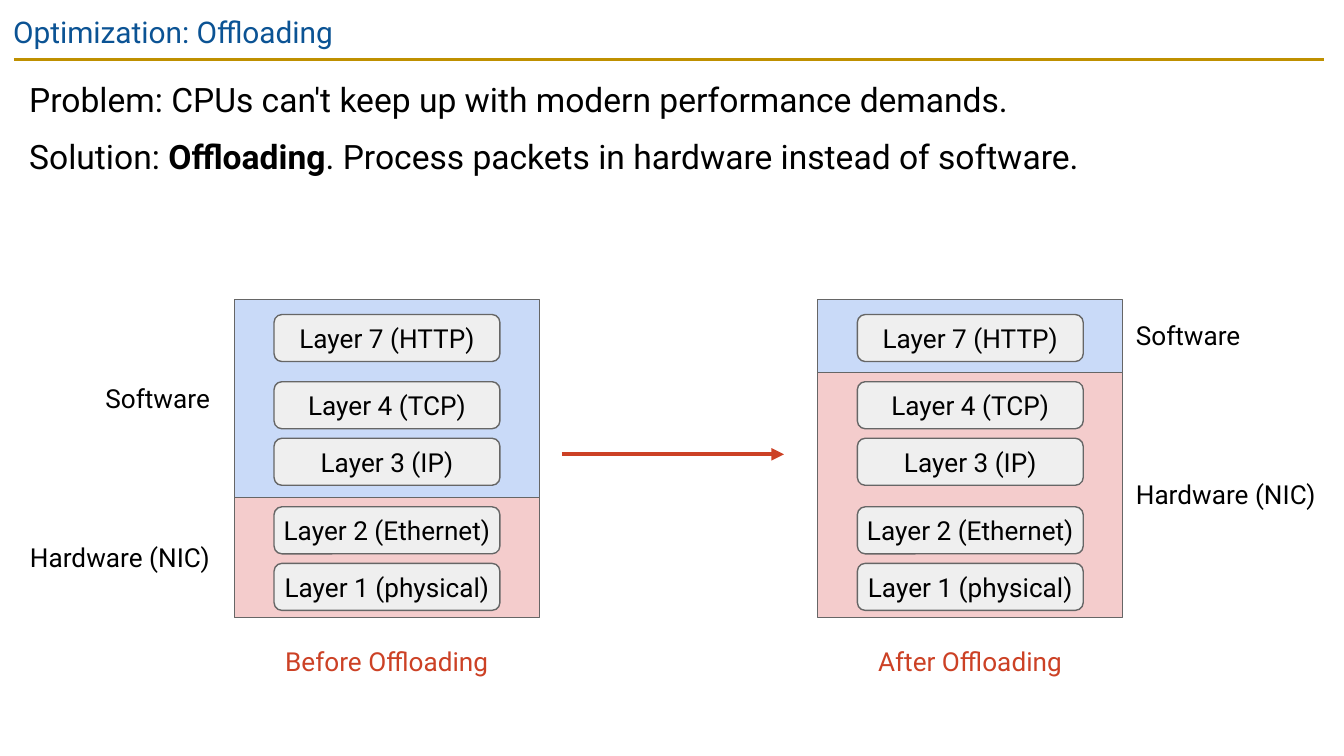
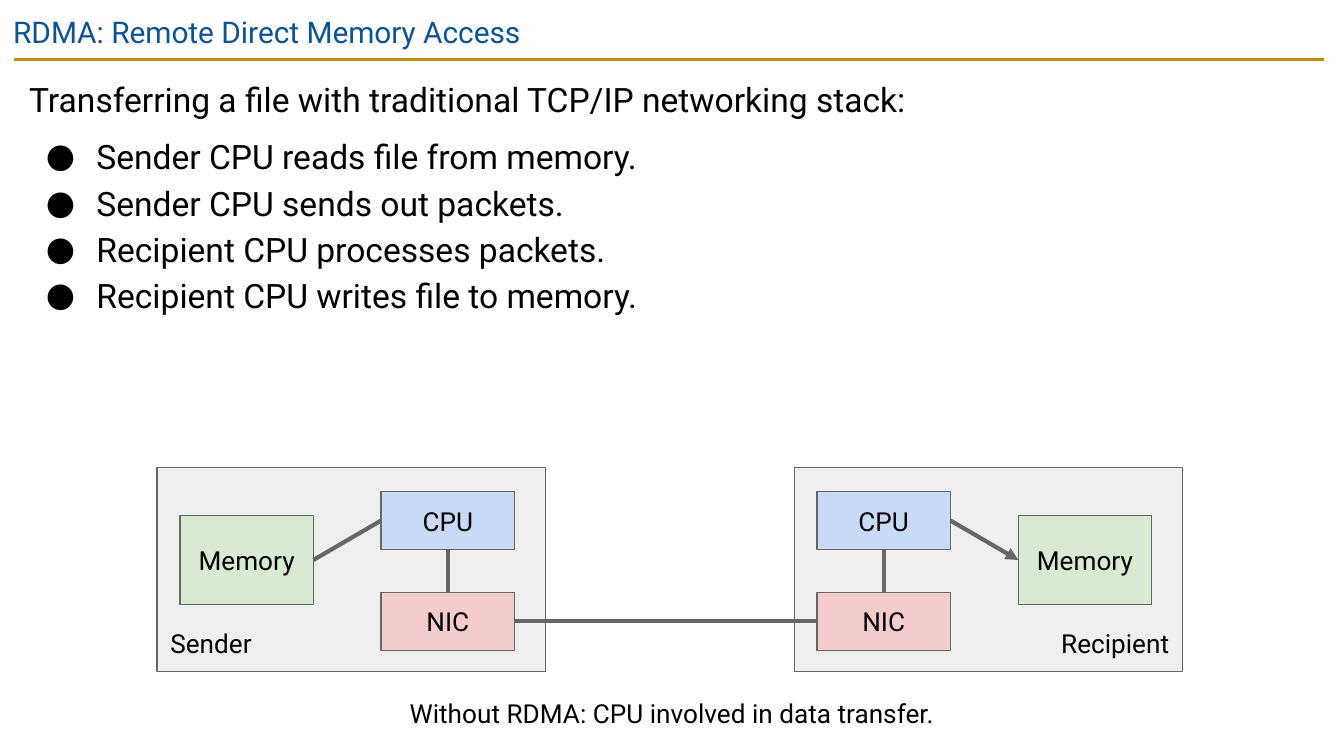
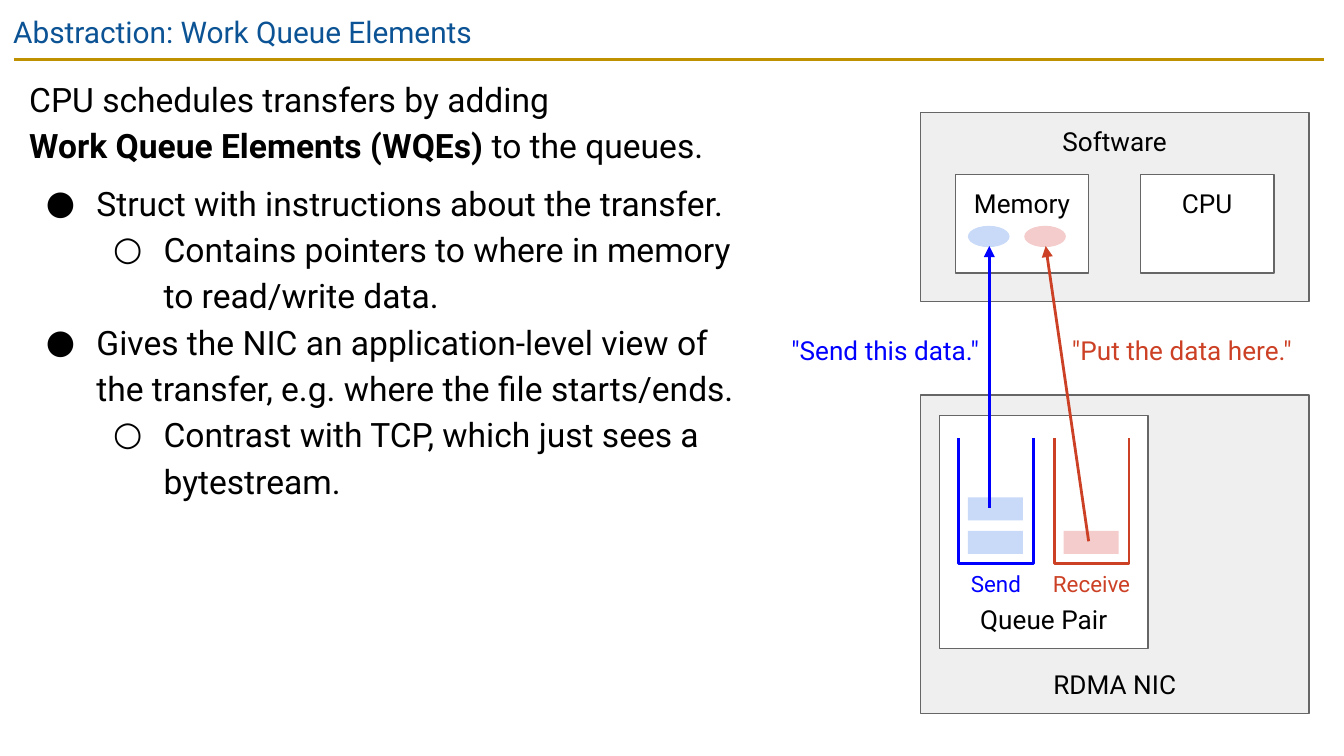
from lxml.etree import SubElement
from pptx import Presentation
from pptx.dml.color import RGBColor
from pptx.enum.shapes import MSO_CONNECTOR, MSO_SHAPE
from pptx.enum.text import MSO_ANCHOR, PP_ALIGN
from pptx.oxml.ns import qn
from pptx.util import Pt

FONT = "Roboto"
BLACK, WHITE, GRAY, EDGE = "000000", "FFFFFF", "EFEFEF", "666666"
BLUE, PINK, GREEN = "C9DAF8", "F4CCCC", "D9EAD3"
NAVY, GOLD, RED, VIVID = "0B5394", "BF9000", "CC4125", "0000FF"
LEFT, MID, RIGHT = PP_ALIGN.LEFT, PP_ALIGN.CENTER, PP_ALIGN.RIGHT
TOP, CORE, BASE = MSO_ANCHOR.TOP, MSO_ANCHOR.MIDDLE, MSO_ANCHOR.BOTTOM
RECT, ROUND, OVAL = MSO_SHAPE.RECTANGLE, MSO_SHAPE.ROUNDED_RECTANGLE, MSO_SHAPE.OVAL

OFFLOAD = [
    (0, "Problem: CPUs can't keep up with modern performance demands."),
    (0, "Solution: **Offloading**. Process packets in hardware instead of software."),
]
LAYERS = [
    ("Layer 7 (HTTP)", 168.5),
    ("Layer 4 (TCP)", 204.5),
    ("Layer 3 (IP)", 234.8),
    ("Layer 2 (Ethernet)", 271.5),
    ("Layer 1 (physical)", 301.8),
]
STACKS = [
    ("Before Offloading", 125.5, 266.5, RIGHT),
    ("After Offloading", 438, 199.5, LEFT),
]
BANDS = [("Software", BLUE, 65.5), ("Hardware (NIC)", PINK, 102)]

RDMA = [
    (0, "Transferring a file with traditional TCP/IP networking stack:"),
    (1, "Sender CPU reads file from memory."),
    (1, "Sender CPU sends out packets."),
    (1, "Recipient CPU processes packets."),
    (1, "Recipient CPU writes file to memory."),
]
NEAR, FAR = 12.2, 120
HOSTS = [("Sender", 84.2, NEAR, FAR, LEFT), ("Recipient", 425.5, FAR, NEAR, RIGHT)]

QUEUES = [
    (0, "CPU schedules transfers by adding\v**Work Queue Elements (WQEs)** to the queues."),
    (1, "Struct with instructions about the transfer."),
    (2, "Contains pointers to where in memory to read/write data."),
    (1, "Gives the NIC an application-level view of the transfer, "
        "e.g. where the file starts/ends."),
    (2, "Contrast with TCP, which just sees a bytestream."),
]
BLOCKS = [
    ("RDMA NIC", (493.2, 211.7, 208, 170.6), GRAY, BASE),
    ("Software", (493.2, 60.2, 208, 101.5), GRAY, TOP),
    ("CPU", (611, 93.4, 71.5, 53), WHITE, TOP),
    ("Memory", (511.8, 93.4, 71.5, 53), WHITE, TOP),
    ("Queue Pair", (503.3, 222.5, 111.7, 125), WHITE, BASE),
]
CUPS = [
    ("Send", 513.5, 40, 2, VIVID, BLUE, 518.5, (530, 272),
     '"Send this data."', (418.5, 111.5)),
    ("Receive", 564.8, 54, 1, RED, PINK, 548.7, (583.2, 290),
     '"Put the data here."', (569.5, 127.5)),
]


def rgb(code):
    return RGBColor.from_string(code)


def style(par, size, color, align=LEFT):
    par.alignment = align
    for run in par.runs:
        run.font.name = FONT
        run.font.size = Pt(size)
        run.font.color.rgb = rgb(color)


def frame(shape, inset, anchor):
    text = shape.text_frame
    text.word_wrap = True
    text.vertical_anchor = anchor
    text.margin_left = text.margin_right = Pt(inset)
    text.margin_top = text.margin_bottom = Pt(inset)
    return text


def label(slide, words, at, color=BLACK, size=14, align=MID, inset=2):
    text = frame(slide.shapes.add_textbox(*map(Pt, at)), inset, TOP)
    text.text = words
    style(text.paragraphs[0], size, color, align)


def box(slide, at, fill, words="", kind=RECT, edge=EDGE,
        align=MID, anchor=CORE, inset=7.2):
    shape = slide.shapes.add_shape(kind, *map(Pt, at))
    shape.shadow.inherit = False
    shape.fill.solid()
    shape.fill.fore_color.rgb = rgb(fill)
    if edge:
        shape.line.color.rgb = rgb(edge)
        shape.line.width = Pt(0.75)
    else:
        shape.line.fill.background()
    if words:
        text = frame(shape, inset, anchor)
        text.text = words
        style(text.paragraphs[0], 14, BLACK, align)
    return shape


def line(slide, start, end, color, width, arrow=False):
    wire = slide.shapes.add_connector(MSO_CONNECTOR.STRAIGHT, *map(Pt, start + end))
    wire.line.color.rgb = rgb(color)
    wire.line.width = Pt(width)
    if arrow:
        SubElement(wire.get_or_add_ln(), qn("a:tailEnd"), type="triangle")
    SubElement(wire._element.spPr, qn("a:effectLst"))
    return wire


def join(slide, first, side, last, goal, arrow=False):
    wire = line(slide, (0, 0), (0, 0), EDGE, 2.25, arrow)
    wire.begin_connect(first, side)
    wire.end_connect(last, goal)


def bullet(par, level):
    props = par._p.get_or_add_pPr()
    props.set("marL", str(Pt(36 * level)))
    props.set("indent", str(Pt(-27)))
    tint = SubElement(props, qn("a:buClr"))
    SubElement(tint, qn("a:srgbClr"), val=BLACK)
    SubElement(props, qn("a:buFont"), typeface=FONT)
    SubElement(props, qn("a:buChar"), char="●○"[level - 1])


def body(slide, items, width, height):
    text = frame(slide.shapes.add_textbox(Pt(8.6), Pt(31.7), Pt(width), Pt(height)), 7.2, TOP)
    last = 0
    for spot, (level, words) in enumerate(items):
        par = text.add_paragraph() if spot else text.paragraphs[0]
        head, *rest = words.split("**")
        par.text = head
        for turn, part in enumerate(rest):
            run = par.add_run()
            run.text = part
            run.font.bold = turn % 2 == 0
        style(par, 18, BLACK)
        par.level = max(level - 1, 0)
        par.line_spacing = 1.15
        par.space_before = Pt(0 if last else 6)
        if level:
            bullet(par, level)
        last = level


def page(deck, title):
    slide = deck.slides.add_slide(deck.slide_layouts[6])
    line(slide, (7.5, 31.8), (709.3, 31.8), GOLD, 1.5)
    label(slide, title, (0, 0, 720, 31), NAVY, 16, LEFT, 7.2)
    return slide


def stack(slide, name, left, split, align):
    edges = (160.5, split, 331)
    for (words, fill, wide), top, low in zip(BANDS, edges, edges[1:]):
        box(slide, (left, top, 163.5, low - top), fill)
        side = left - 11 - wide if align == RIGHT else left + 168.5
        label(slide, words, (side, (top + low) / 2 - 10.8, wide, 21.6), align=align)
    for words, top in LAYERS:
        box(slide, (left + 21.3, top, 121, 25.2), GRAY, words, ROUND, inset=2)
    label(slide, name, (left + 25.2, 343.5, 113, 21.6), RED)


def host(slide, name, left, store, chips, align):
    box(slide, (left, 250.5, 208, 109.4), GRAY, name, align=align, anchor=BASE)
    cpu = box(slide, (left + chips, 263.4, 71.5, 31), BLUE, "CPU")
    nic = box(slide, (left + chips, 317.4, 71.5, 31), PINK, "NIC")
    memory = box(slide, (left + store, 276, 71.5, 48), GREEN, "Memory")
    join(slide, cpu, 2, nic, 0)
    return memory, cpu, nic


def cup(slide, name, left, wide, count, color, fill, data, start, quote, span):
    path = slide.shapes.build_freeform(Pt(left), Pt(234.7))
    path.add_line_segments([(Pt(left), Pt(301.7)), (Pt(left + 40), Pt(301.7)),
                            (Pt(left + 40), Pt(234.7))], close=False)
    shape = path.convert_to_shape()
    shape.shadow.inherit = False
    shape.fill.background()
    shape.line.color.rgb = rgb(color)
    shape.line.width = Pt(1.5)
    label(slide, name, (left + 20 - wide / 2, 303.3, wide, 18.7), color, 12)
    for spot in range(count):
        box(slide, (left + 5, 284.4 - 18 * spot, 29.5, 12.4), fill, edge=None)
    box(slide, (data, 121, 22.3, 11.4), fill, kind=OVAL, edge=None)
    line(slide, start, (data + 11.5, 131.8), color, 1.5, True)
    label(slide, quote, (span[0], 177, span[1], 21.6), color)


def main():
    deck = Presentation()
    deck.slide_width, deck.slide_height = Pt(720), Pt(405)

    slide = page(deck, "Optimization: Offloading")
    body(slide, OFFLOAD, 701, 124.5)
    for item in STACKS:
        stack(slide, *item)
    line(slide, (301, 243.4), (420, 243.4), RED, 2.25, True)

    slide = page(deck, "RDMA: Remote Direct Memory Access")
    body(slide, RDMA, 701, 195)
    sender, target = [host(slide, *item) for item in HOSTS]
    join(slide, sender[0], 3, sender[1], 1)
    join(slide, sender[2], 3, target[2], 1)
    join(slide, target[1], 3, target[0], 1, True)
    label(slide, "Without RDMA: CPU involved in data transfer.", (208.5, 371.5, 303, 21.6))

    slide = page(deck, "Abstraction: Work Queue Elements")
    body(slide, QUEUES, 396, 356.5)
    for words, at, fill, anchor in BLOCKS:
        box(slide, at, fill, words, anchor=anchor)
    for item in CUPS:
        cup(slide, *item)

    deck.save("out.pptx")


if __name__ == "__main__":
    main()
